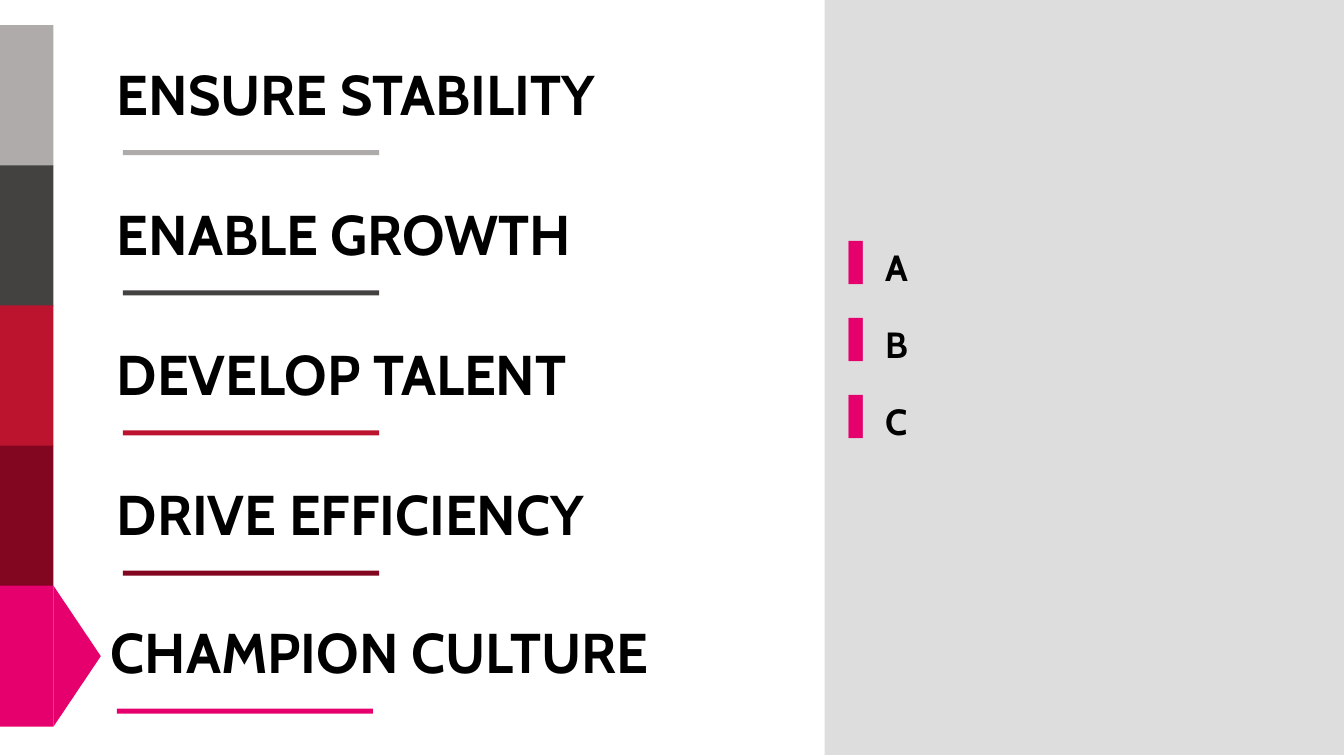
from lxml.etree import SubElement
from pptx import Presentation
from pptx.dml.color import RGBColor
from pptx.enum.shapes import MSO_SHAPE
from pptx.oxml.ns import qn
from pptx.util import Inches, Pt

BLACK = RGBColor(0x00, 0x00, 0x00)
PANEL = RGBColor(0xDD, 0xDD, 0xDD)
SILVER = RGBColor(0xAF, 0xAB, 0xAB)
CHARCOAL = RGBColor(0x43, 0x42, 0x41)
RED = RGBColor(0xBC, 0x14, 0x2E)
MAROON = RGBColor(0x82, 0x06, 0x1F)
PINK = RGBColor(0xE5, 0x00, 0x6D)

FONT = "Cabin"
PILLARS = [
    ("ENSURE STABILITY", SILVER),
    ("ENABLE GROWTH", CHARCOAL),
    ("DEVELOP TALENT", RED),
    ("DRIVE EFFICIENCY", MAROON),
    ("CHAMPION CULTURE", PINK),
]
ACTIVE = 4
PITCH = 1.39
BAR_WIDTH = 0.53
BAR_HEIGHT = 1.4


def add_block(slide, left, top, width, height, color, kind=MSO_SHAPE.RECTANGLE):
    sp = slide.shapes.add_shape(
        kind, Inches(left), Inches(top), Inches(width), Inches(height))
    sp.shadow.inherit = False
    sp.fill.solid()
    sp.fill.fore_color.rgb = color
    sp.line.fill.background()
    return sp


def set_bullet(p, char, color, indent):
    pPr = p._p.get_or_add_pPr()
    pPr.set("marL", str(Inches(indent)))
    pPr.set("indent", str(-Inches(indent)))
    buClr = SubElement(pPr, qn("a:buClr"))
    SubElement(buClr, qn("a:srgbClr")).set("val", str(color))
    SubElement(pPr, qn("a:buChar")).set("char", char)


def add_text(slide, text, left, top, width, height, size, space_after=None, bullet=None):
    tf = slide.shapes.add_textbox(
        Inches(left), Inches(top), Inches(width), Inches(height)).text_frame
    tf.word_wrap = True
    for i, line in enumerate(text.split("\n")):
        p = tf.add_paragraph() if i else tf.paragraphs[0]
        if space_after is not None:
            p.space_after = Pt(space_after)
        if bullet:
            set_bullet(p, bullet, PINK, 0.5)
        r = p.add_run()
        r.text = line
        r.font.name = FONT
        r.font.size = Pt(size)
        r.font.bold = True
        r.font.color.rgb = BLACK


def add_pillar(slide, left, top, title, color, active):
    add_block(slide, left, top, BAR_WIDTH, BAR_HEIGHT, color)
    shift_x, shift_y = 0, 0
    if active:
        shift_x, shift_y = -0.06, -0.02
        tip = add_block(slide, left + BAR_WIDTH, top, 0.47, BAR_HEIGHT, color,
                        MSO_SHAPE.PENTAGON)
        tip.adjustments[0] = 1.0
    x, y = left + shift_x, top + shift_y
    add_text(slide, title, x + 1.06, y + 0.29, 7.39, 0.77, 40)
    add_block(slide, x + 1.22, y + 1.24, 2.54, 0.05, color)


def add_pillars(slide, left, top):
    for i, (title, color) in enumerate(PILLARS):
        add_pillar(slide, left, top + i * PITCH, title, color, i == ACTIVE)


def add_panel(slide, left, top, width, height):
    add_block(slide, left, top, width, height, PANEL)
    add_text(slide, "A\nB\nC", left, top + 2.38, width - 0.31, 2.09, 26,
             space_after=24, bullet="▐")


def main():
    prs = Presentation()
    prs.slide_width = Inches(13.33)
    prs.slide_height = Inches(7.5)
    slide = prs.slides.add_slide(prs.slide_layouts[6])
    add_panel(slide, 8.18, 0, 5.15, 7.49)
    add_pillars(slide, 0, 0.25)
    prs.save("out.pptx")


if __name__ == "__main__":
    main()
